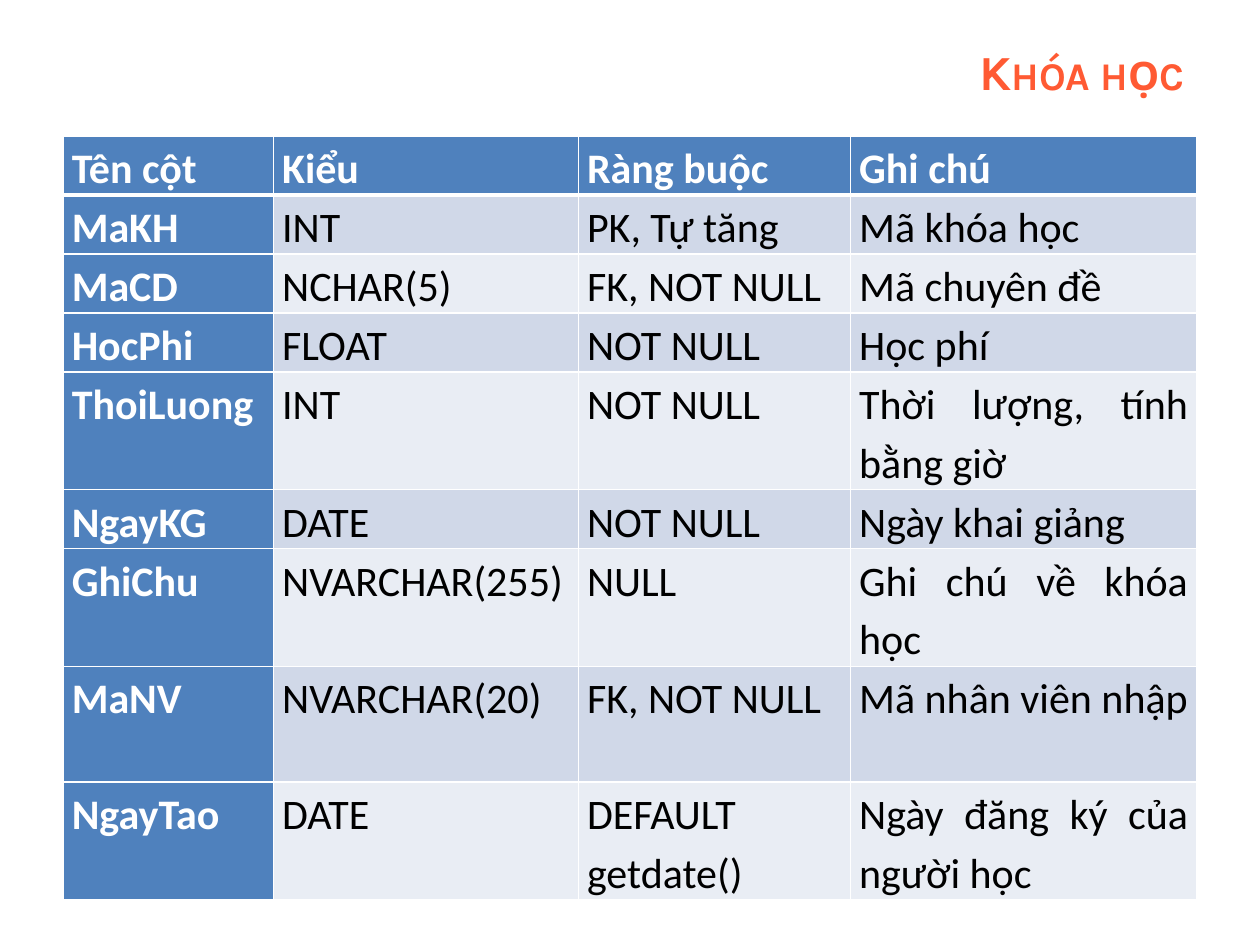
from dataclasses import dataclass

from lxml.etree import SubElement
from pptx import Presentation
from pptx.dml.color import RGBColor as Rgb
from pptx.enum.text import MSO_ANCHOR as Anchor, PP_ALIGN as Align
from pptx.oxml.ns import qn
from pptx.util import Inches, Pt

COLORS = {
    "title": "FF5A33",
    "head": "4F81BD",
    "odd": "D0D8E8",
    "even": "E9EDF4",
    "light": "FFFFFF",
    "dark": "000000",
}
COLUMN_WIDTHS = (1.67, 2.42, 2.16, 2.75)
LINE_HEIGHT = 0.46


@dataclass
class Field:
    name: str
    kind: str
    rule: str
    note: str
    lines: int = 1


FIELDS = (
    Field("Tên cột", "Kiểu", "Ràng buộc", "Ghi chú"),
    Field("MaKH", "INT", "PK, Tự tăng", "Mã khóa học"),
    Field("MaCD", "NCHAR(5)", "FK, NOT NULL", "Mã chuyên đề"),
    Field("HocPhi", "FLOAT", "NOT NULL", "Học phí"),
    Field("ThoiLuong", "INT", "NOT NULL", "Thời lượng, tính bằng giờ", 2),
    Field("NgayKG", "DATE", "NOT NULL", "Ngày khai giảng"),
    Field("GhiChu", "NVARCHAR(255)", "NULL", "Ghi chú về khóa học", 2),
    Field("MaNV", "NVARCHAR(20)", "FK, NOT NULL", "Mã nhân viên nhập", 2),
    Field("NgayTao", "DATE", "DEFAULT getdate()", "Ngày đăng ký của người học", 2),
)


def set_all(target, values: dict) -> None:
    for name, value in values.items():
        setattr(target, name, value)


def write(para, text: str, color: str, font_format: dict, para_format: dict):
    set_all(para, para_format)
    span = para.add_run()
    span.text = text
    set_all(span.font, font_format)
    span.font.color.rgb = Rgb.from_string(COLORS[color])
    return span


def add_borders(cell, widths: dict) -> None:
    properties = cell._tc.get_or_add_tcPr()
    for index, (side, width) in enumerate(widths.items()):
        line = SubElement(properties, qn(f"a:ln{side}"), w=str(Pt(width)))
        fill = SubElement(line, qn("a:solidFill"))
        SubElement(fill, qn("a:srgbClr"), val=COLORS["light"])
        properties.remove(line)
        properties.insert(index, line)


def draw_cell(cell, text: str, row: int, column: int) -> None:
    heading = row == 0 or column == 0
    fill = "head" if heading else ("odd" if row % 2 else "even")
    cell.fill.solid()
    cell.fill.fore_color.rgb = Rgb.from_string(COLORS[fill])
    set_all(cell, {
        "margin_left": Inches(0.07), "margin_right": Inches(0.07),
        "margin_top": 0, "margin_bottom": 0,
    })
    write(
        cell.text_frame.paragraphs[0], text, "light" if heading else "dark",
        {"name": "Calibri", "size": Pt(24), "bold": heading},
        {"alignment": Align.JUSTIFY, "line_spacing": 1.15,
         "space_before": Pt(6), "space_after": Pt(6)},
    )
    add_borders(cell, {"L": 1, "R": 1, "T": 3 if row == 1 else 1, "B": 3 if row == 0 else 1})


def draw_title(page, text: str) -> None:
    box = page.shapes.title
    set_all(box, {
        "left": Inches(2.25), "top": Inches(0.3),
        "width": Inches(7.25), "height": Inches(0.53),
    })
    set_all(box.text_frame, {"word_wrap": True, "vertical_anchor": Anchor.MIDDLE})
    span = write(
        box.text_frame.paragraphs[0], text, "title",
        {"name": "Karla", "size": Pt(28), "bold": True}, {"alignment": Align.RIGHT},
    )
    span.font._element.set("cap", "small")


def draw_table(page, fields: tuple[Field, ...]) -> None:
    height = LINE_HEIGHT * sum(field.lines for field in fields)
    table = page.shapes.add_table(
        len(fields), len(COLUMN_WIDTHS), Inches(0.5), Inches(1.08),
        Inches(sum(COLUMN_WIDTHS)), Inches(height),
    ).table
    table.first_col = True
    for column, width in zip(table.columns, COLUMN_WIDTHS):
        column.width = Inches(width)
    for row, field in enumerate(fields):
        table.rows[row].height = Inches(LINE_HEIGHT * field.lines)
        for column, text in enumerate((field.name, field.kind, field.rule, field.note)):
            draw_cell(table.cell(row, column), text, row, column)


def main() -> None:
    deck = Presentation()
    set_all(deck, {"slide_width": Inches(10), "slide_height": Inches(7.5)})
    page = deck.slides.add_slide(deck.slide_layouts[5])
    draw_title(page, "Khóa học")
    draw_table(page, FIELDS)
    deck.save("out.pptx")


if __name__ == "__main__":
    main()
